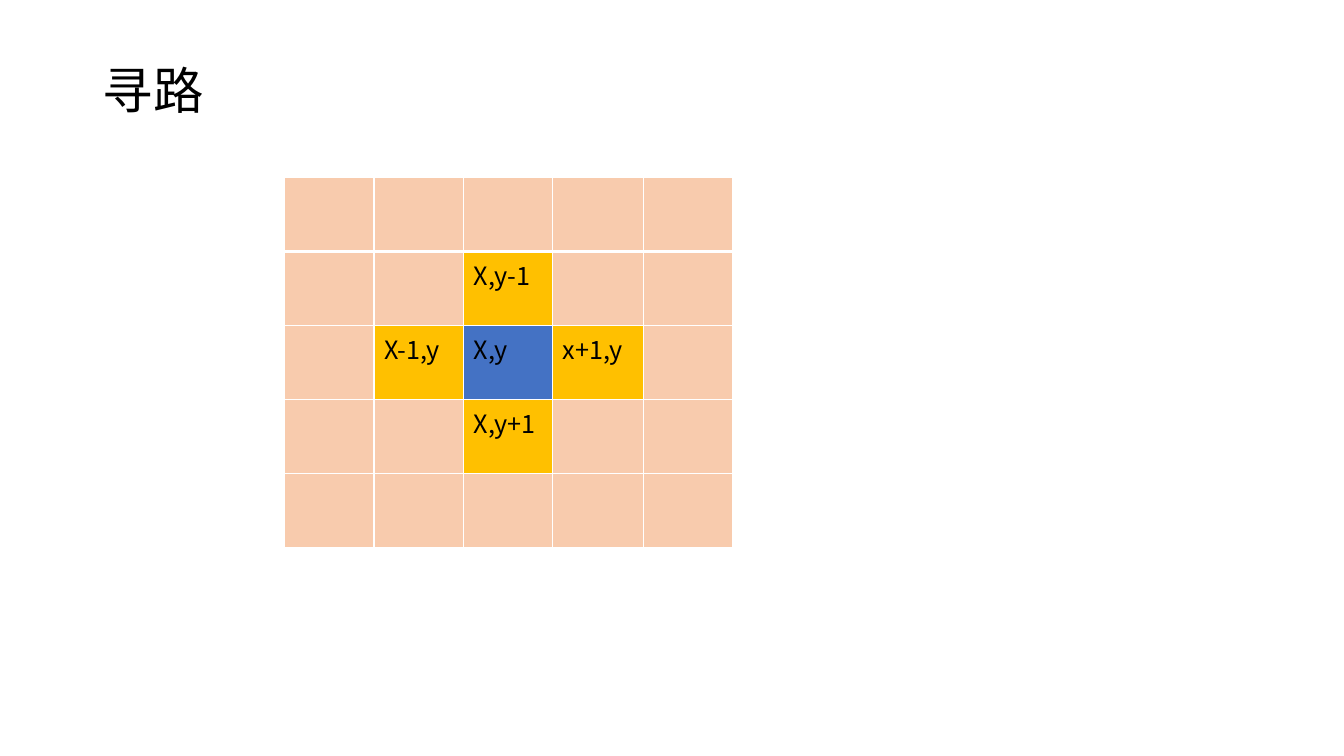
from lxml import etree
from pptx import Presentation
from pptx.dml.color import RGBColor
from pptx.enum.text import MSO_ANCHOR
from pptx.oxml.ns import qn
from pptx.util import Inches, Pt

BOTTOM = MSO_ANCHOR.BOTTOM
FONT = "Noto Sans CJK SC"
COLORS = {
    "text": "000000",
    "border": "FFFFFF",
    "field": "F8CBAD",
    "neighbour": "FFC000",
    "centre": "4472C4",
}


def add_run(paragraph, text, size):
    run = paragraph.add_run()
    run.text = text
    run.font.size = Pt(size)
    run.font.name = FONT
    run.font.color.rgb = RGBColor.from_string(COLORS["text"])
    etree.SubElement(run.font._element, qn("a:ea"), typeface=FONT)


def add_border(cell, side, width):
    line = etree.SubElement(cell._tc.get_or_add_tcPr(), qn(f"a:ln{side}"), w=str(Pt(width)))
    fill = etree.SubElement(line, qn("a:solidFill"))
    etree.SubElement(fill, qn("a:srgbClr"), val=COLORS["border"])


prs = Presentation()
prs.slide_width = Inches(13.33)
prs.slide_height = Inches(7.5)
slide = prs.slides.add_slide(prs.slide_layouts[6])

# Title
title = slide.shapes.add_textbox(Inches(0.92), Inches(0.4), Inches(10.32), Inches(0.84))
title.text_frame.word_wrap = True
title.text_frame.vertical_anchor = BOTTOM
heading = title.text_frame.paragraphs[0]
heading.line_spacing = 0.9
add_run(heading, "寻路", 36)

# Path-finding grid: the centre cell and its four neighbours, by (row, column)
labels = {
    (1, 2): "X,y-1",
    (2, 1): "X-1,y",
    (2, 2): "X,y",
    (2, 3): "x+1,y",
    (3, 2): "X,y+1",
}
column_widths = [0.89, 0.89, 0.88, 0.9, 0.89]
row_count = 5
grid = slide.shapes.add_table(
    row_count, len(column_widths), Inches(2.82), Inches(1.76), Inches(4.45), Inches(3.67)
).table
for column, width in zip(grid.columns, column_widths):
    column.width = Inches(width)

for r, row in enumerate(grid.rows):
    row.height = Inches(3.67 / row_count)
    for c, cell in enumerate(row.cells):
        # The line under the first row is thicker
        for side in "LRTB":
            thick = (r, side) in [(0, "B"), (1, "T")]
            add_border(cell, side, 3 if thick else 1)
        role = "centre" if (r, c) == (2, 2) else "neighbour" if (r, c) in labels else "field"
        cell.fill.solid()
        cell.fill.fore_color.rgb = RGBColor.from_string(COLORS[role])
        if (r, c) in labels:
            add_run(cell.text_frame.paragraphs[0], labels[r, c], 18)

prs.save("out.pptx")
